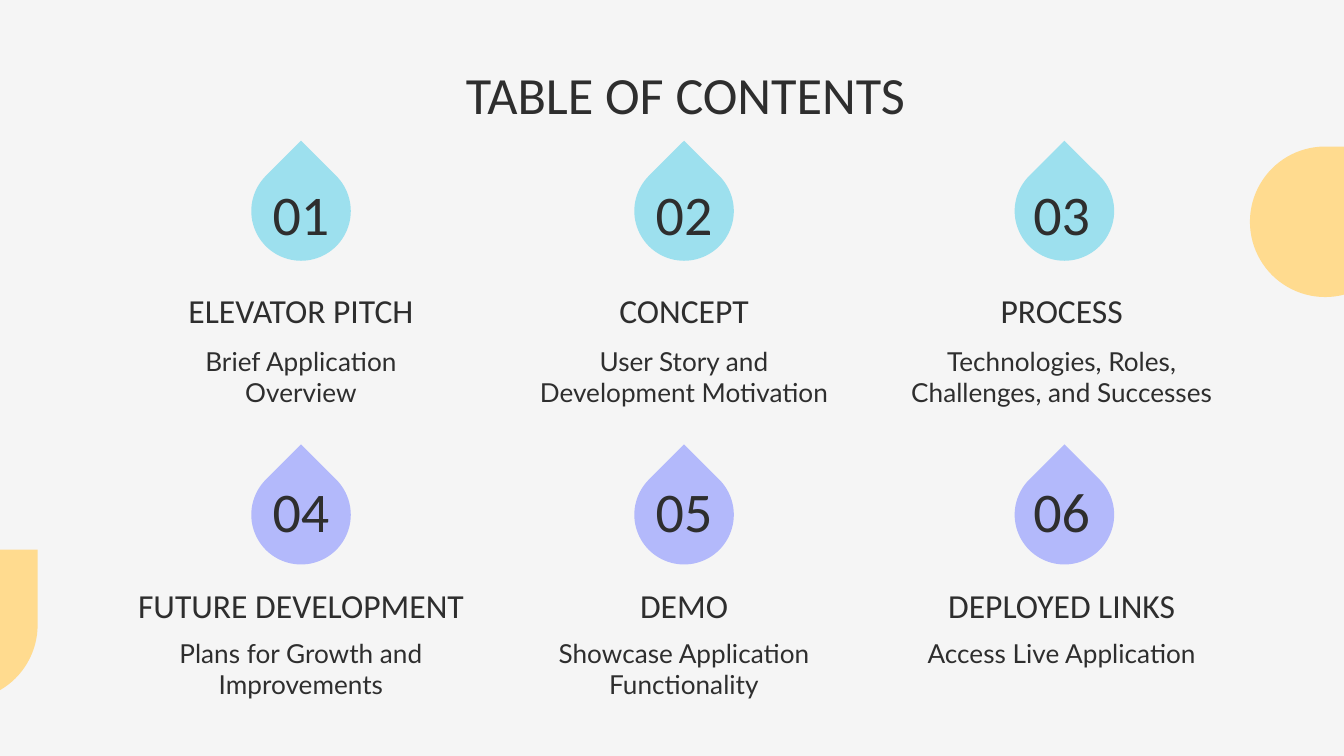
from pptx import Presentation
from pptx.dml.color import RGBColor
from pptx.enum.shapes import MSO_SHAPE
from pptx.enum.text import MSO_ANCHOR, PP_ALIGN
from pptx.util import Inches, Pt

SLIDE_WIDTH = 10
SLIDE_HEIGHT = SLIDE_WIDTH * 9 / 16
BACKGROUND, INK, YELLOW = "F5F5F5", "2E2E2E", "FFDB8F"
TITLE = "TABLE OF CONTENTS"
ROWS = [
    {"color": "9DE0EE", "drop": 1.2, "number": 1.27, "heading": 2.06,
     "body": 2.47, "body_height": 0.56, "topics": [
         ("01", "ELEVATOR PITCH", "Brief Application Overview"),
         ("02", "CONCEPT", "User Story and Development Motivation"),
         ("03", "PROCESS", "Technologies, Roles, Challenges, and Successes")]},
    {"color": "B3B9FB", "drop": 3.46, "number": 3.48, "heading": 4.25,
     "body": 4.64, "body_height": 0.94, "topics": [
         ("04", "FUTURE DEVELOPMENT", "Plans for Growth and Improvements"),
         ("05", "DEMO", "Showcase Application Functionality"),
         ("06", "DEPLOYED LINKS", "Access Live Application")]},
]
COLUMNS = [
    {"drop": 2.24, "text": 2.24, "body_width": 2.36},
    {"drop": 5.09, "text": 5.09, "body_width": 2.36},
    {"drop": 7.92, "text": 7.9, "body_width": 2.5},
]
CORNER_DROPS = [(-0.84, 4.09), (9.3, 1.09)]
CORNER_SIZE, DROP_SIZE = 1.12, 0.74


def rgb(color):
    return RGBColor.from_string(color)


def add_drop(page, left, top, size, color, rotation=0):
    drop = page.shapes.add_shape(
        MSO_SHAPE.TEAR, Inches(left), Inches(top), Inches(size), Inches(size))
    drop.rotation = rotation
    drop.shadow.inherit = False
    drop.fill.solid()
    drop.fill.fore_color.rgb = rgb(color)
    drop.line.fill.background()


def add_text(page, text, center, top, width, height, size,
             font="Calibri", anchor=MSO_ANCHOR.TOP):
    box = page.shapes.add_textbox(
        Inches(center - width / 2), Inches(top), Inches(width), Inches(height))
    frame = box.text_frame
    frame.word_wrap = True
    frame.vertical_anchor = anchor
    frame.margin_left = frame.margin_right = Inches(0.1)
    frame.margin_top = frame.margin_bottom = Inches(0.1)
    para = frame.paragraphs[0]
    para.text = text
    para.alignment = PP_ALIGN.CENTER
    para.font.size = Pt(size)
    para.font.name = font
    para.font.color.rgb = rgb(INK)


deck = Presentation()
deck.slide_width, deck.slide_height = Inches(SLIDE_WIDTH), Inches(SLIDE_HEIGHT)
page = deck.slides.add_slide(deck.slide_layouts[6])
page.background.fill.solid()
page.background.fill.fore_color.rgb = rgb(BACKGROUND)

for left, top in CORNER_DROPS:
    add_drop(page, left, top, CORNER_SIZE, YELLOW)

add_text(page, TITLE, 5.1, 0.36, 6.81, 0.69, 28)

for row in ROWS:
    for column, (number, heading, body) in zip(COLUMNS, row["topics"]):
        center = column["text"]
        add_drop(page, column["drop"] - DROP_SIZE / 2, row["drop"],
                 DROP_SIZE, row["color"], 315)
        add_text(page, number, center, row["number"], 1.92, 0.63, 30,
                 anchor=MSO_ANCHOR.MIDDLE)
        add_text(page, heading, center, row["heading"], 3, 0.63, 18)
        add_text(page, body, center, row["body"], column["body_width"],
                 row["body_height"], 14, font="Lato")

deck.save("out.pptx")
